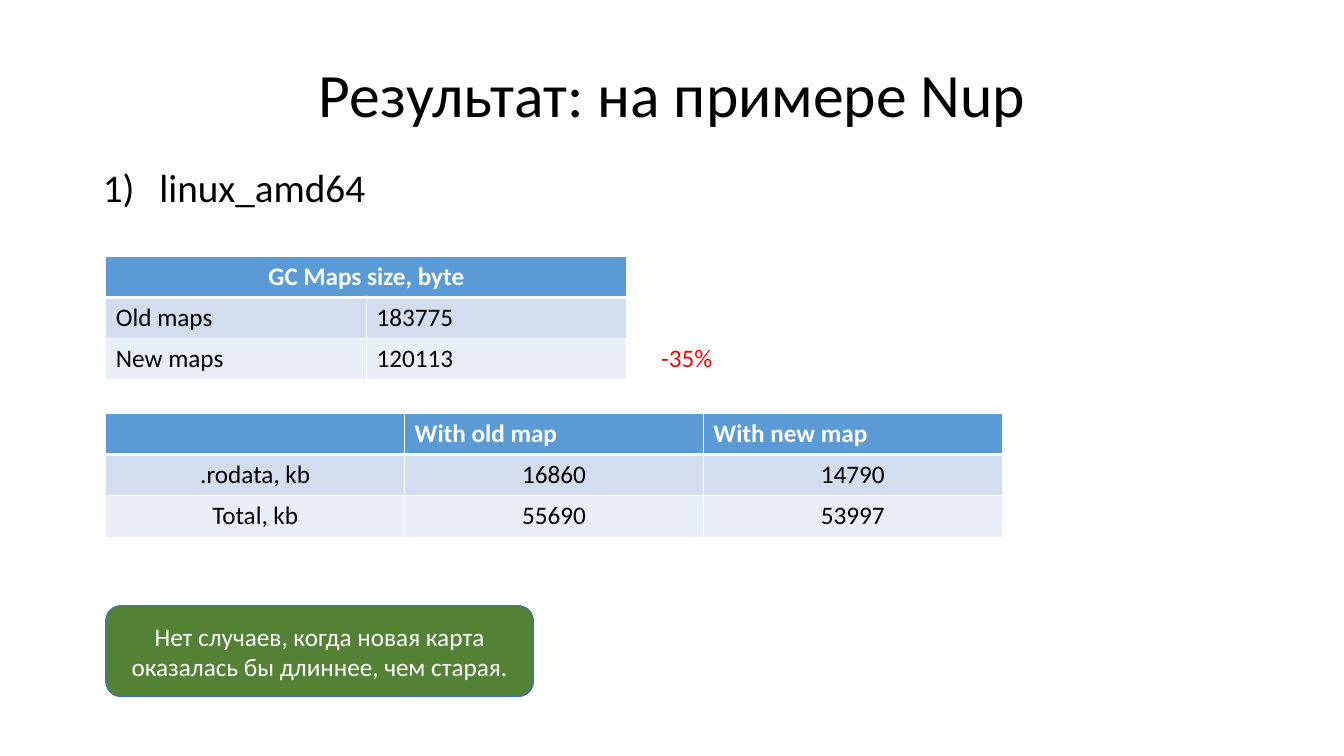
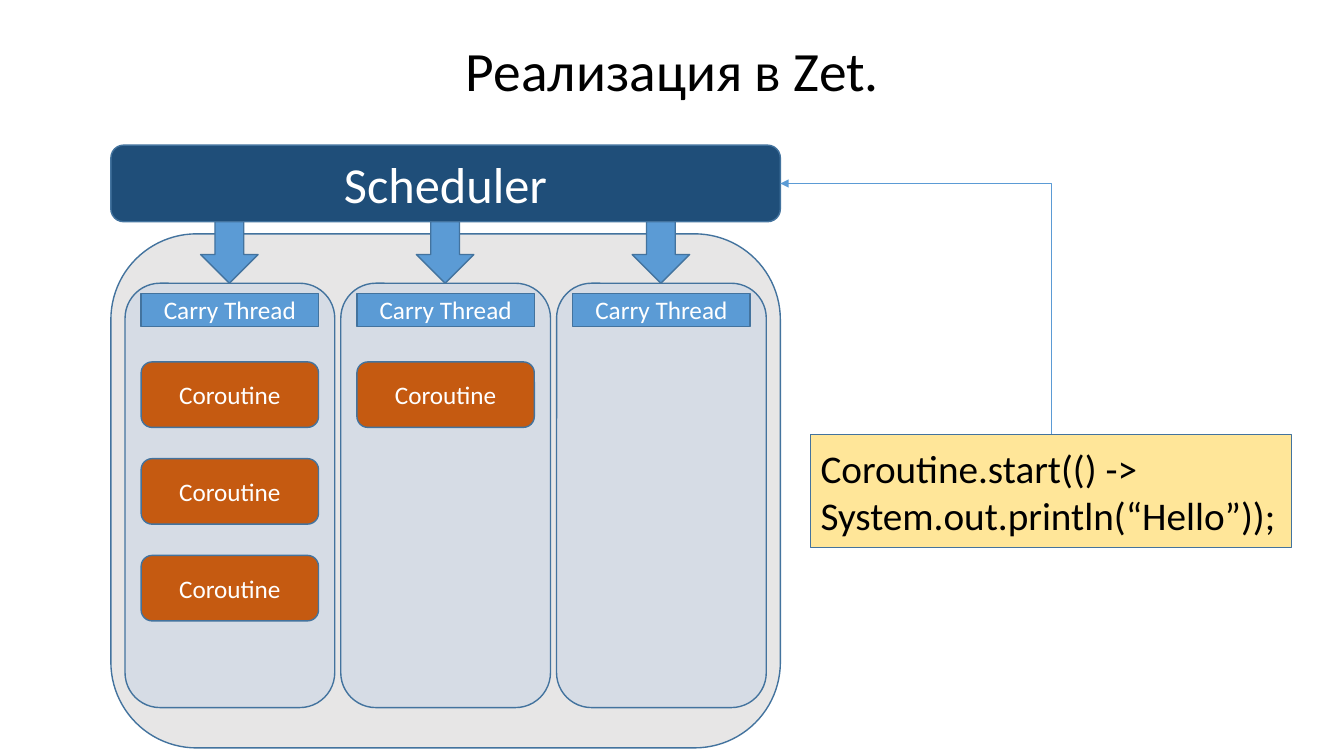
import pptx
import pptx.util
import pptx.dml.color
import pptx.enum.shapes
import pptx.enum.text
import pptx.oxml
import pptx.oxml.ns

Inches = pptx.util.Inches
Pt = pptx.util.Pt
SHAPE = pptx.enum.shapes.MSO_SHAPE
ALIGN = pptx.enum.text.PP_ALIGN
ANCHOR = pptx.enum.text.MSO_ANCHOR

FONT = "Calibri"
COLORS = {
    "black": "000000",
    "white": "FFFFFF",
    "red": "FF0000",
    "blue": "5B9BD5",
    "outline": "43739E",
    "navy": "1F4E79",
    "green": "548235",
    "orange": "C55A11",
    "yellow": "FFE699",
    "pool": "E7E6E6",
    "thread": "D6DCE5",
    "odd_row": "D2DEEF",
    "even_row": "EAEFF7",
}
LAYOUT_TITLE_BODY, LAYOUT_TITLE_ONLY = 1, 5
ROW_HEIGHT = 0.41


def rgb(name):
    return pptx.dml.color.RGBColor.from_string(COLORS[name])


def add_xml(parent, xml):
    """Append an element written with the a: prefix."""
    namespace = pptx.oxml.ns.nsdecls("a")
    parent.append(pptx.oxml.parse_xml(xml.replace(" ", f" {namespace} ", 1)))


def place(shape, left, top, width, height):
    box = {"left": left, "top": top, "width": width, "height": height}
    for name, value in box.items():
        setattr(shape, name, Inches(value))


def write(frame, text, size=18, color="white", align=ALIGN.CENTER, bold=False):
    """Fill a text frame with one formatted paragraph and return it."""
    para = frame.paragraphs[0]
    para.alignment = align
    span = para.add_run()
    span.text = text
    span.font.color.rgb = rgb(color)
    for name, value in {"name": FONT, "size": Pt(size), "bold": bold}.items():
        setattr(span.font, name, value)
    return para


def add_slide(deck, layout, title, title_height, title_size):
    page = deck.slides.add_slide(deck.slide_layouts[layout])
    place(page.shapes.title, 0.92, 0.4, 11.5, title_height)
    frame = page.shapes.title.text_frame
    frame.vertical_anchor = ANCHOR.MIDDLE
    write(frame, title, title_size, "black").line_spacing = 0.9
    return page


def add_numbered_item(page, text):
    body = page.placeholders[1]
    place(body, 0.92, 1.62, 11.5, 5.14)
    para = write(body.text_frame, text, 28, "black", ALIGN.LEFT)
    para.line_spacing = 0.9
    para.space_before = Pt(10)
    properties = para._p.get_or_add_pPr()
    properties.set("marL", str(Inches(0.56)))
    properties.set("indent", str(-Inches(0.56)))
    add_xml(properties, '<a:buFont typeface="+mj-lt"/>')
    add_xml(properties, '<a:buAutoNum type="arabicParenR"/>')


def add_box(page, kind, at, fill, text="", **text_format):
    box = page.shapes.add_shape(kind, *map(Inches, at))
    box.shadow.inherit = False
    box.fill.solid()
    box.fill.fore_color.rgb = rgb(fill)
    box.line.color.rgb = rgb("outline")
    box.line.width = Pt(1)
    if text:
        box.text_frame.word_wrap = True
        box.text_frame.vertical_anchor = ANCHOR.MIDDLE
        write(box.text_frame, text, **text_format)
    return box


def add_label(page, at, text, color):
    label = page.shapes.add_textbox(*map(Inches, at))
    label.text_frame.word_wrap = False
    write(label.text_frame, text, color=color, align=ALIGN.LEFT)


def format_cell(cell, fill, bottom_width):
    properties = cell._tc.get_or_add_tcPr()
    for side, width in {"L": 1, "R": 1, "T": 1, "B": bottom_width}.items():
        add_xml(properties, f'<a:ln{side} w="{Pt(width)}"><a:solidFill>'
                f'<a:srgbClr val="{COLORS["white"]}"/></a:solidFill></a:ln{side}>')
    cell.fill.solid()
    cell.fill.fore_color.rgb = rgb(fill)


def add_table(page, top, width, rows, header_align, body_align):
    """Draw a table with a blue header; a one-item header spans all columns."""
    column_count = len(rows[-1])
    frame = page.shapes.add_table(
        len(rows), column_count, Inches(1.05), Inches(top),
        Inches(width), Inches(ROW_HEIGHT * len(rows)))
    table = frame.table
    fills = ["blue", "odd_row", "even_row"]
    for row_index, row in enumerate(rows):
        header = row_index == 0
        for column in range(column_count):
            format_cell(table.cell(row_index, column), fills[row_index],
                        3 if header else 1)
        for column, text in enumerate(row):
            if text:
                write(table.cell(row_index, column).text_frame, text,
                      color="white" if header else "black",
                      align=header_align if header else body_align, bold=header)
    if len(rows[0]) == 1:
        table.cell(0, 0).merge(table.cell(0, column_count - 1))


def add_corner_arrow(page, target, source):
    """Join the top of source to the right side of target, head at target."""
    connector = page.shapes.add_connector(
        pptx.enum.shapes.MSO_CONNECTOR.ELBOW, 0, 0, 0, 0)
    connector.begin_connect(target, 3)
    connector.end_connect(source, 0)
    connector.line.color.rgb = rgb("blue")
    connector.line.width = Pt(0.5)
    properties = connector._element.spPr
    geometry = properties.find(pptx.oxml.ns.qn("a:prstGeom"))
    geometry.set("prst", "bentConnector2")
    add_xml(connector.line._get_or_add_ln(), '<a:headEnd type="triangle"/>')
    add_xml(properties, "<a:effectLst />")


def add_thread(page, center, coroutine_count):
    add_box(page, SHAPE.ROUNDED_RECTANGLE, (center - 1.04, 2.81, 2.08, 4.21), "thread")
    add_box(page, SHAPE.RECTANGLE, (center - 0.88, 2.91, 1.76, 0.33), "blue",
            "Carry Thread")
    add_box(page, SHAPE.DOWN_ARROW, (center - 0.29, 2.2, 0.57, 0.61), "blue")
    for index in range(coroutine_count):
        add_box(page, SHAPE.ROUNDED_RECTANGLE,
                (center - 0.88, 3.59 + 0.96 * index, 1.76, 0.65), "orange", "Coroutine")


def build_results(deck):
    page = add_slide(deck, LAYOUT_TITLE_BODY, "Результат: на примере Nup", 1.14, 44)
    add_numbered_item(page, "linux_amd64")
    add_table(page, 2.54, 5.17, [
        ["GC Maps size, byte"],
        ["Old maps", "183775"],
        ["New maps", "120113"],
    ], ALIGN.CENTER, ALIGN.LEFT)
    add_label(page, (6.46, 3.35, 0.72, 0.4), "-35%", "red")
    add_table(page, 4.1, 8.89, [
        ["", "With old map", "With new map"],
        [".rodata, kb", "16860", "14790"],
        ["Total, kb", "55690", "53997"],
    ], ALIGN.LEFT, ALIGN.CENTER)
    add_box(page, SHAPE.ROUNDED_RECTANGLE, (1.05, 6.01, 4.24, 0.9), "green",
            "Нет случаев, когда новая карта оказалась бы длиннее, чем старая.")


def build_scheduler(deck):
    page = add_slide(deck, LAYOUT_TITLE_ONLY, "Реализация в Zet.", 0.65, 39.6)
    add_box(page, SHAPE.ROUNDED_RECTANGLE, (1.1, 2.32, 6.64, 5.1), "pool")
    scheduler = add_box(page, SHAPE.ROUNDED_RECTANGLE, (1.1, 1.44, 6.64, 0.76),
                        "navy", "Scheduler", size=36)
    for index, coroutine_count in enumerate([3, 1, 0]):
        add_thread(page, 2.28 + 2.14 * index, coroutine_count)
    code = add_box(page, SHAPE.RECTANGLE, (8.04, 4.31, 4.77, 1.12), "yellow",
                   "Coroutine.start(() -> System.out.println(“Hello”));",
                   size=28, color="black", align=ALIGN.LEFT)
    add_corner_arrow(page, scheduler, code)


def main():
    deck = pptx.Presentation()
    deck.slide_width = Inches(13.33)
    deck.slide_height = Inches(7.5)
    build_results(deck)
    build_scheduler(deck)
    deck.save("out.pptx")


if __name__ == "__main__":
    main()
